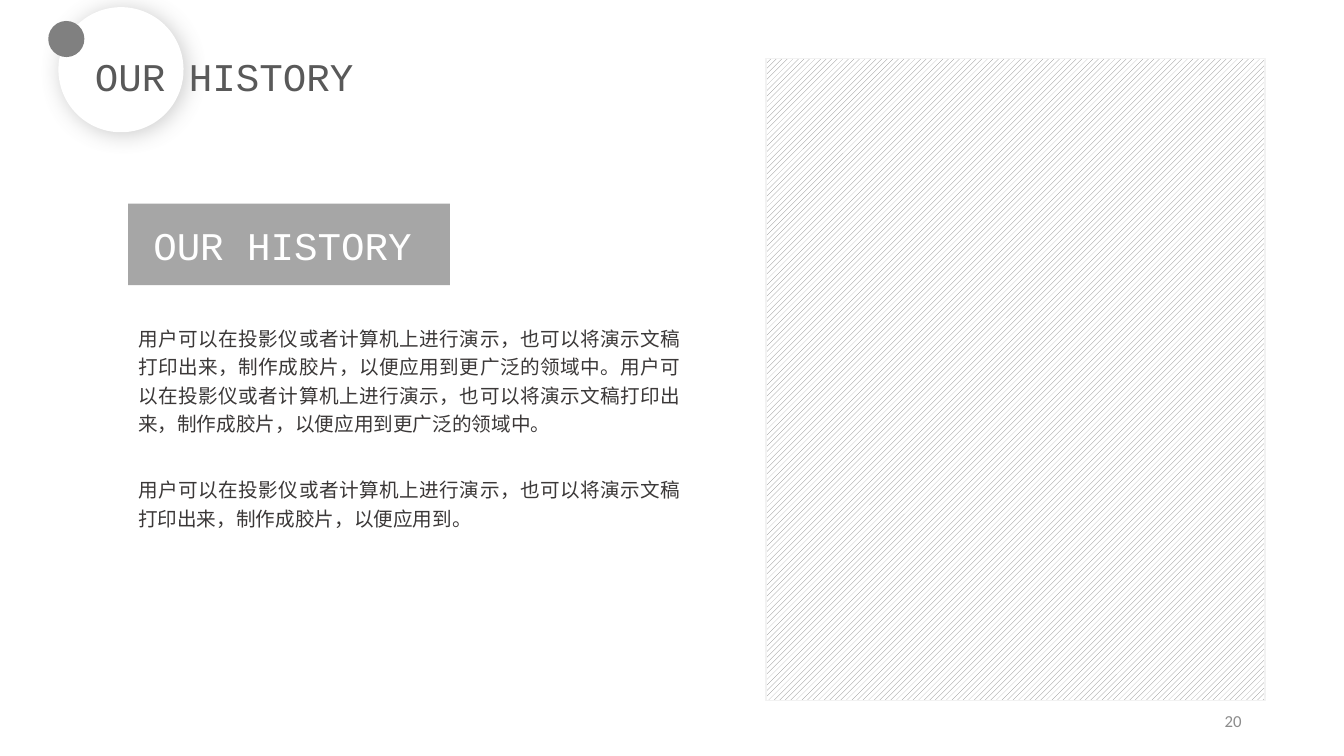
from dataclasses import dataclass

from lxml import etree
from pptx import Presentation
from pptx import util as u
from pptx.dml import color
from pptx.enum import dml, shapes, text
from pptx.oxml import ns

WHITE = color.RGBColor(0xFF, 0xFF, 0xFF)
PALE = color.RGBColor(0xF2, 0xF2, 0xF2)
SILVER = color.RGBColor(0xA6, 0xA6, 0xA6)
ASH = color.RGBColor(0x8C, 0x8C, 0x8C)
GRAY = color.RGBColor(0x80, 0x80, 0x80)
SLATE = color.RGBColor(0x59, 0x59, 0x59)
INK = color.RGBColor(0x3B, 0x38, 0x38)

COLS, ROWS = 32, 18
WIDE, HIGH = u.Inches(13.333), u.Inches(7.5)
LEFT = 3.05
HEADING = "OUR HISTORY"
USE = "用户可以在投影仪或者计算机上进行演示，也可以将演示文稿打印出来，制作成胶片，以便应用到"
FULL = USE + "更广泛的领域中。"


@dataclass(frozen=True)
class Box:
    col: float
    row: float
    cols: float
    rows: float

    def emu(self) -> tuple[int, int, int, int]:
        return (
            round(self.col * WIDE / COLS),
            round(self.row * HIGH / ROWS),
            round(self.cols * WIDE / COLS),
            round(self.rows * HIGH / ROWS),
        )


@dataclass(frozen=True)
class Style:
    font: str
    size: float
    align: text.PP_ALIGN = text.PP_ALIGN.LEFT
    anchor: text.MSO_ANCHOR = text.MSO_ANCHOR.MIDDLE
    space: float = 1.0
    inset: bool = True
    grow: bool = True


@dataclass(frozen=True)
class Label:
    box: Box
    words: str
    style: Style
    ink: color.RGBColor


@dataclass(frozen=True)
class Disc:
    box: Box
    fill: color.RGBColor


HEAD = Style("Courier New", 28, inset=False)
BODY = Style("Noto Sans CJK SC", 14, text.PP_ALIGN.JUSTIFY, text.MSO_ANCHOR.TOP, 1.2)
FOOT = Style("Calibri", 12, text.PP_ALIGN.RIGHT, grow=False)

DISCS = (
    Disc(Box(1.39, 0.17, 2.98, 2.98), WHITE),
    Disc(Box(1.15, 0.5, 0.86, 0.86), GRAY),
)
BANNER = Box(LEFT, 4.85, 7.66, 1.94)
PANEL = Box(18.24, 1.39, 11.88, 15.29)
TITLE = Label(Box(2.26, 1.25, 7.46, 1.13), HEADING, HEAD, SLATE)
LABELS = (
    Label(Box(22.6, 16.68, 7.2, 0.96), "20", FOOT, ASH),
    Label(Box(LEFT, 7.56, 13.39, 2.95), FULL + FULL, BODY, INK),
    Label(Box(LEFT, 11.16, 13.39, 1.61), USE + "。", BODY, INK),
    Label(Box(3.65, 5.26, 7.46, 1.13), HEADING, HEAD, WHITE),
)


def write(shape, label: Label) -> None:
    style = label.style
    shape.left, shape.top, shape.width, shape.height = label.box.emu()
    frame = shape.text_frame
    frame.text = label.words
    frame.word_wrap = True
    frame.vertical_anchor = style.anchor
    size = text.MSO_AUTO_SIZE
    frame.auto_size = size.SHAPE_TO_FIT_TEXT if style.grow else size.NONE
    if not style.inset:
        frame.margin_left = frame.margin_right = 0
        frame.margin_top = frame.margin_bottom = 0
    para = frame.paragraphs[0]
    para.alignment = style.align
    para.line_spacing = style.space
    font = para.runs[0].font
    font.name = style.font
    font.size = u.Pt(style.size)
    font.color.rgb = label.ink
    east = etree.SubElement(font._element, ns.qn("a:ea"))
    east.set("typeface", style.font)


def draw(home, kind: shapes.MSO_SHAPE, box: Box, fill: color.RGBColor):
    shape = home.add_shape(kind, *box.emu())
    shape.shadow.inherit = False
    shape.fill.solid()
    shape.fill.fore_color.rgb = fill
    shape.line.fill.background()
    return shape


def shade(shape) -> None:
    glow = shape._element.spPr.find(ns.qn("a:effectLst"))
    cast = etree.SubElement(glow, ns.qn("a:outerShdw"))
    cast.set("blurRad", str(u.Pt(16)))
    cast.set("dist", str(u.Pt(2)))
    cast.set("dir", str(30 * 60000))
    cast.set("algn", "ctr")
    tint = etree.SubElement(cast, ns.qn("a:srgbClr"), val=str(GRAY))
    etree.SubElement(tint, ns.qn("a:alpha"), val="40000")


def main() -> None:
    deck = Presentation()
    deck.slide_width, deck.slide_height = WIDE, HIGH
    slide = deck.slides.add_slide(deck.slide_layouts[5])
    tree = slide.shapes

    badge = tree.add_group_shape()
    discs = [draw(badge.shapes, shapes.MSO_SHAPE.OVAL, d.box, d.fill) for d in DISCS]
    for disc in discs:
        disc.rotation = 28.5
    shade(discs[0])

    draw(tree, shapes.MSO_SHAPE.RECTANGLE, BANNER, SILVER)
    panel = draw(tree, shapes.MSO_SHAPE.RECTANGLE, PANEL, WHITE)
    panel.fill.patterned()
    panel.fill.pattern = dml.MSO_PATTERN.WIDE_UPWARD_DIAGONAL
    panel.fill.fore_color.rgb = GRAY
    panel.fill.back_color.rgb = WHITE
    panel.line.color.rgb = PALE
    panel.line.width = u.Pt(1)

    for label in LABELS:
        write(tree.add_textbox(*label.box.emu()), label)
    write(tree.title, TITLE)
    tree._spTree.append(tree.title._element)

    deck.save("out.pptx")


if __name__ == "__main__":
    main()
